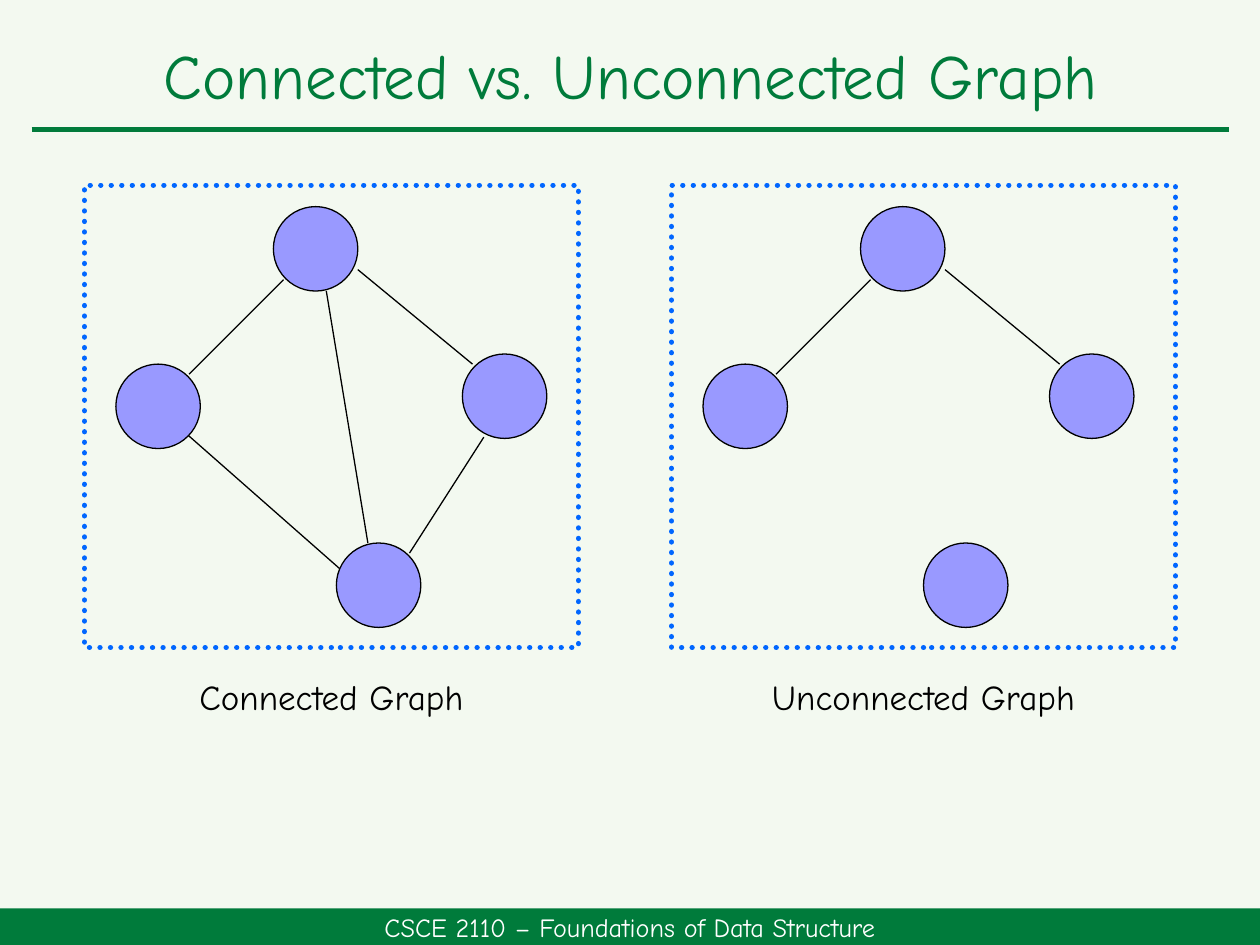
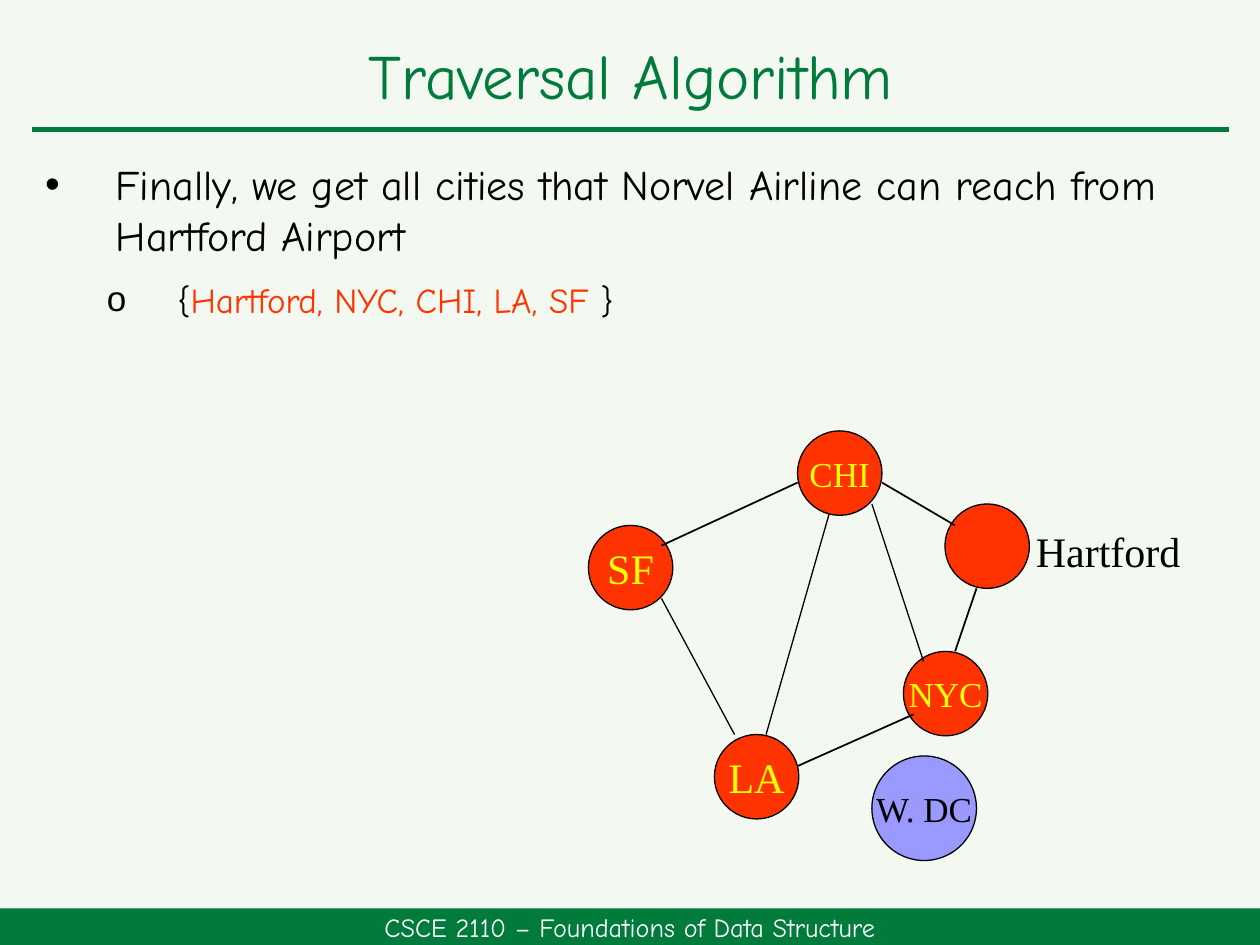
import pptx
import pptx.util
import pptx.dml.color
import pptx.enum.dml
import pptx.enum.shapes
import pptx.enum.text
import pptx.oxml.ns
import lxml.etree

Inches = pptx.util.Inches
Pt = pptx.util.Pt
RGBColor = pptx.dml.color.RGBColor
Shape = pptx.enum.shapes.MSO_SHAPE
Align = pptx.enum.text.PP_ALIGN
Anchor = pptx.enum.text.MSO_ANCHOR

PAPER = RGBColor(0xF3, 0xF9, 0xF0)
GREEN = RGBColor(0x00, 0x7B, 0x3B)
WHITE = RGBColor(0xFF, 0xFF, 0xFF)
BLACK = RGBColor(0x00, 0x00, 0x00)
LILAC = RGBColor(0x99, 0x99, 0xFF)
RED = RGBColor(0xFF, 0x33, 0x00)
YELLOW = RGBColor(0xFF, 0xFF, 0x00)
BLUE = RGBColor(0x00, 0x66, 0xFF)
HAND = "Comic Neue"
SERIF = "Times New Roman"
NODE_SIZE = 0.67

FOUR_NODES = [(1.5, 0.17), (3, 1.34), (2, 2.84), (0.25, 1.42)]
CONNECTED_EDGES = [
    (1.58, 0.75, 0.83, 1.5),
    (2.17, 0.67, 3.08, 1.42),
    (0.75, 1.92, 2.17, 3.17),
    (2.58, 2.92, 3.17, 2),
    (1.92, 0.84, 2.25, 2.84),
]
UNCONNECTED_EDGES = CONNECTED_EDGES[:2]

CITIES = [
    ("CHI", 1.66, 0, NODE_SIZE, RED, YELLOW, 20),
    ("", 2.83, 0.58, NODE_SIZE, RED, YELLOW, 20),
    ("NYC", 2.5, 1.75, NODE_SIZE, RED, YELLOW, 20),
    ("LA", 1, 2.41, NODE_SIZE, RED, YELLOW, 24),
    ("SF", 0, 0.75, NODE_SIZE, RED, YELLOW, 24),
    ("W. DC", 2.25, 2.58, 0.83, LILAC, BLACK, 20),
]
FLIGHTS = [
    (0.58, 0.91, 1.66, 0.41, 1),
    (0.58, 1.33, 1.16, 2.41, 0.75),
    (1.91, 0.66, 1.41, 2.41, 0.75),
    (2.25, 0.58, 2.66, 1.83, 0.75),
    (1.66, 2.66, 2.58, 2.25, 1),
    (2.33, 0.41, 2.91, 0.75, 1),
    (3.08, 1.25, 2.91, 1.75, 1),
]


def write(paragraph, text, *, size, color=BLACK, font=HAND, align=Align.CENTER):
    """Append a formatted run of text to a paragraph."""
    paragraph.alignment = align
    run = paragraph.add_run()
    run.text = text
    run.font.size = Pt(size)
    run.font.name = font
    run.font.color.rgb = color


def add_box(slide, left, top, width, height, *, anchor=Anchor.TOP, side_margin=0.1):
    """Add an empty text box and return its text frame."""
    frame = slide.shapes.add_textbox(
        Inches(left), Inches(top), Inches(width), Inches(height)).text_frame
    frame.word_wrap = True
    frame.vertical_anchor = anchor
    frame.margin_left = frame.margin_right = Inches(side_margin)
    return frame


def add_area(slide, kind, left, top, width, height, *, fill=None, line=None, weight=0.75):
    """Add a flat preset shape with an optional fill and outline."""
    area = slide.shapes.add_shape(
        kind, Inches(left), Inches(top), Inches(width), Inches(height))
    area.shadow.inherit = False
    if fill is None:
        area.fill.background()
    else:
        area.fill.solid()
        area.fill.fore_color.rgb = fill
    if line is None:
        area.line.fill.background()
    else:
        area.line.color.rgb = line
        area.line.width = Pt(weight)
    return area


def add_edge(slide, x1, y1, x2, y2, *, color=BLACK, weight=0.75):
    """Draw a straight line without a shadow."""
    edge = slide.shapes.add_connector(
        pptx.enum.shapes.MSO_CONNECTOR.STRAIGHT,
        Inches(x1), Inches(y1), Inches(x2), Inches(y2))
    edge.line.color.rgb = color
    edge.line.width = Pt(weight)
    lxml.etree.SubElement(edge._element.spPr, pptx.oxml.ns.qn("a:effectLst"))


def add_node(slide, left, top, size=NODE_SIZE, *, fill=LILAC):
    """Add one round graph node."""
    return add_area(slide, Shape.OVAL, left, top, size, size, fill=fill, line=BLACK)


def add_page(deck, title):
    """Add a slide with the shared background, title, rule and footer."""
    slide = deck.slides.add_slide(deck.slide_layouts[6])
    slide.background.fill.solid()
    slide.background.fill.fore_color.rgb = PAPER
    add_edge(slide, 0.25, 1.03, 9.75, 1.03, color=GREEN, weight=3)
    footer = add_area(slide, Shape.RECTANGLE, 0, 7.21, 10, 0.29, fill=GREEN).text_frame
    footer.vertical_anchor = Anchor.MIDDLE
    write(footer.paragraphs[0], "CSCE 2110 – Foundations of Data Structure",
          size=15, color=WHITE)
    heading = add_box(slide, 0.26, 0.25, 9.49, 0.75, anchor=Anchor.MIDDLE).paragraphs[0]
    heading.line_spacing = 0.9
    write(heading, title, size=36, color=GREEN)
    return slide


def add_framed_graph(slide, left, top, width, height, edges, caption):
    """Draw a four-node graph in a dotted frame with its caption below."""
    for x1, y1, x2, y2 in edges:
        add_edge(slide, left + x1, top + y1, left + x2, top + y2)
    for x, y in FOUR_NODES:
        add_node(slide, left + x, top + y)
    border = add_area(slide, Shape.RECTANGLE, left, top, width, height, line=BLUE, weight=3)
    border.line.dash_style = pptx.enum.dml.MSO_LINE.ROUND_DOT
    border._element.spPr.find(pptx.oxml.ns.qn("a:ln")).set("cap", "rnd")
    label = add_box(slide, left, top + height + 0.17, width, 0.44)
    write(label.paragraphs[0], caption, size=20)


def add_flight_map(slide, left, top):
    """Draw the cities, the flights between them and the start airport label."""
    for city, x, y, size, fill, color, points in CITIES:
        node = add_node(slide, left + x, top + y, size, fill=fill)
        if city:
            node.text_frame.word_wrap = False
            node.text_frame.vertical_anchor = Anchor.MIDDLE
            write(node.text_frame.paragraphs[0], city, size=points, color=color, font=SERIF)
    for x1, y1, x2, y2, weight in FLIGHTS:
        add_edge(slide, left + x1, top + y1, left + x2, top + y2, weight=weight)
    start = add_box(slide, left + 3.5, top + 0.66, 1.25, 0.58,
                    anchor=Anchor.MIDDLE, side_margin=0)
    write(start.paragraphs[0], "Hartford", size=24, font=SERIF)


def set_bullet(paragraph, mark, indent):
    """Give a paragraph a hanging bullet."""
    properties = paragraph._p.get_or_add_pPr()
    properties.set("marL", str(Inches(indent)))
    properties.set("indent", str(Inches(-0.56)))
    for tag, key, value in (("a:buFont", "typeface", "Arial"), ("a:buChar", "char", mark)):
        lxml.etree.SubElement(properties, pptx.oxml.ns.qn(tag)).set(key, value)
    paragraph.space_after = Pt(6)


def add_findings(slide, left, top, width, height):
    """Write the result of the traversal as two bullet levels."""
    frame = add_box(slide, left, top, width, height)
    finding = frame.paragraphs[0]
    set_bullet(finding, "•", 0.56)
    write(finding, "Finally, we get all cities that Norvel Airline can reach from "
          "Hartford Airport", size=24, align=Align.LEFT)
    reached = frame.add_paragraph()
    reached.level = 1
    set_bullet(reached, "o", 1.05)
    reached.space_before = Pt(5)
    for text, color in (("{", BLACK), ("Hartford, NYC, CHI, LA, SF", RED), (" }", BLACK)):
        write(reached, text, size=20, color=color, align=Align.LEFT)


def main():
    """Build both slides and save the deck."""
    deck = pptx.Presentation()
    deck.slide_width, deck.slide_height = Inches(10), Inches(7.5)

    comparison = add_page(deck, "Connected vs. Unconnected Graph")
    add_framed_graph(comparison, 0.67, 1.47, 3.92, 3.67, CONNECTED_EDGES, "Connected Graph")
    add_framed_graph(comparison, 5.33, 1.47, 4, 3.67, UNCONNECTED_EDGES, "Unconnected Graph")

    traversal = add_page(deck, "Traversal Algorithm")
    add_findings(traversal, 0.26, 1.21, 9.49, 1.5)
    add_flight_map(traversal, 4.67, 3.42)

    deck.save("out.pptx")


if __name__ == "__main__":
    main()
